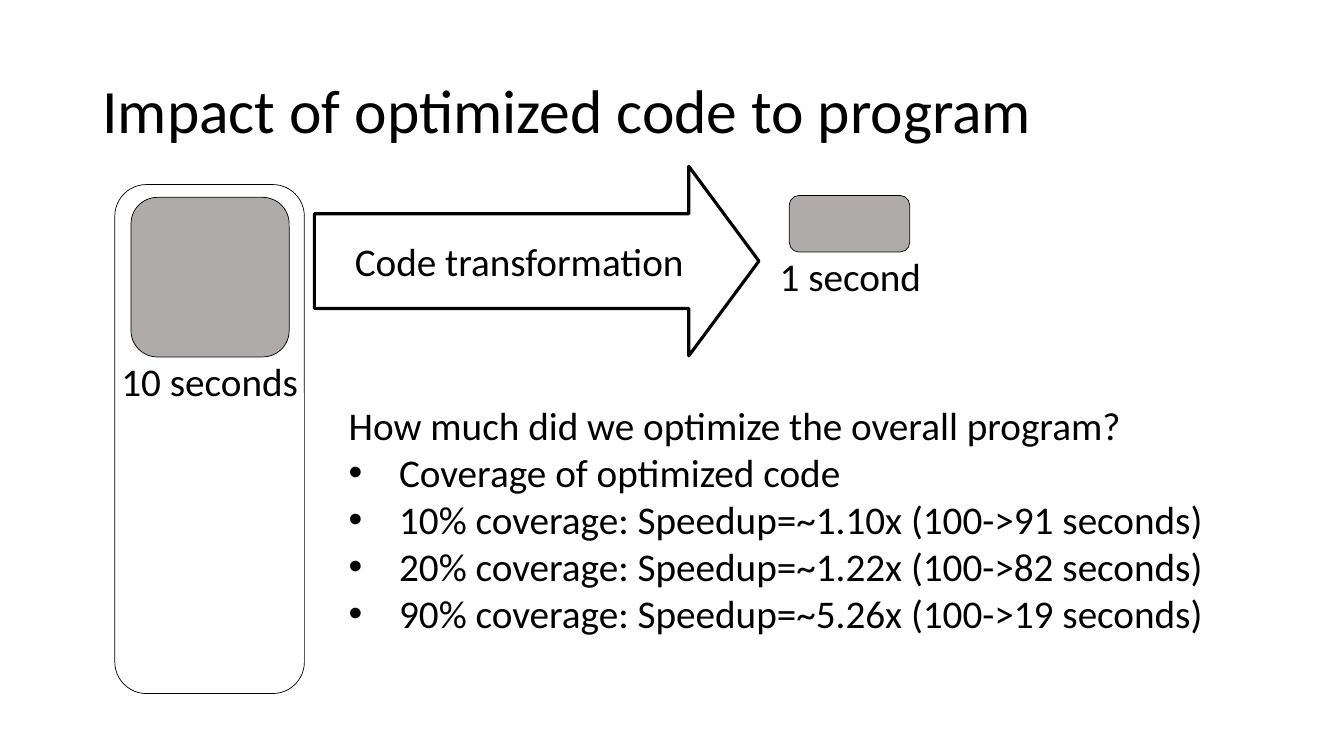
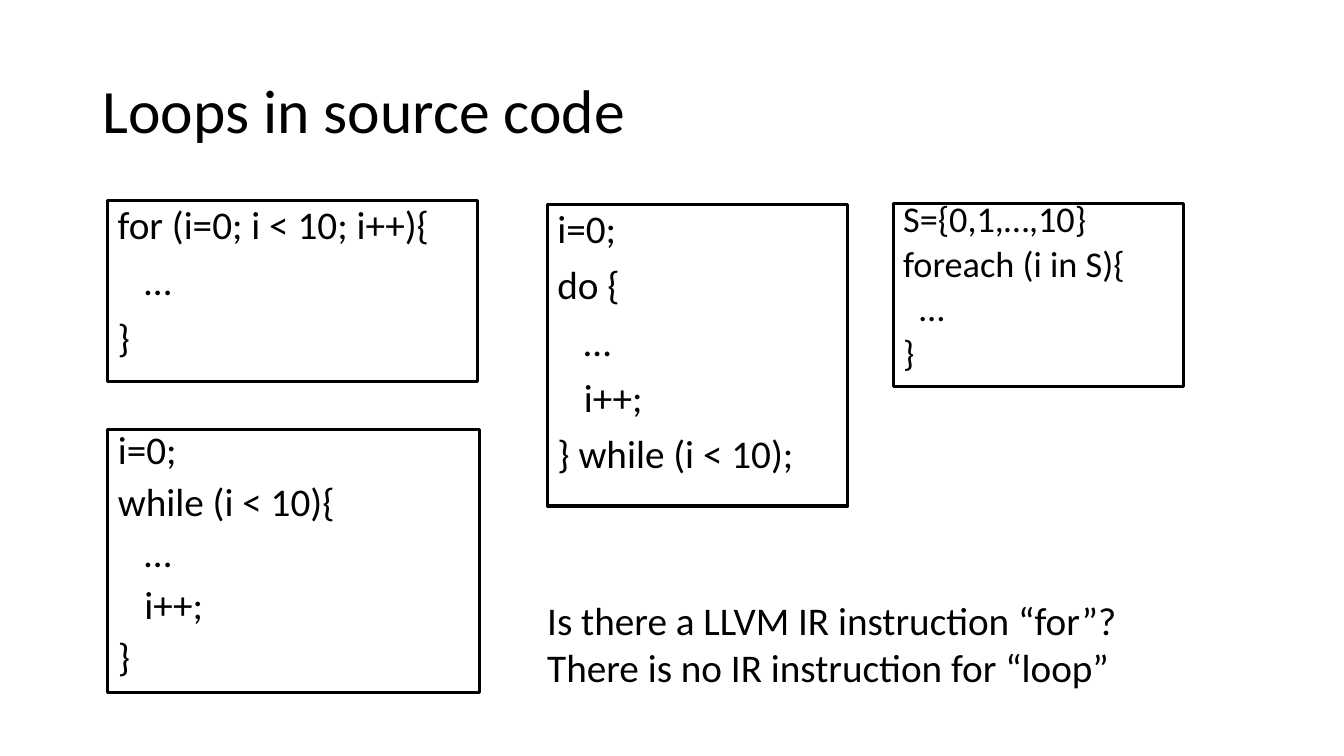
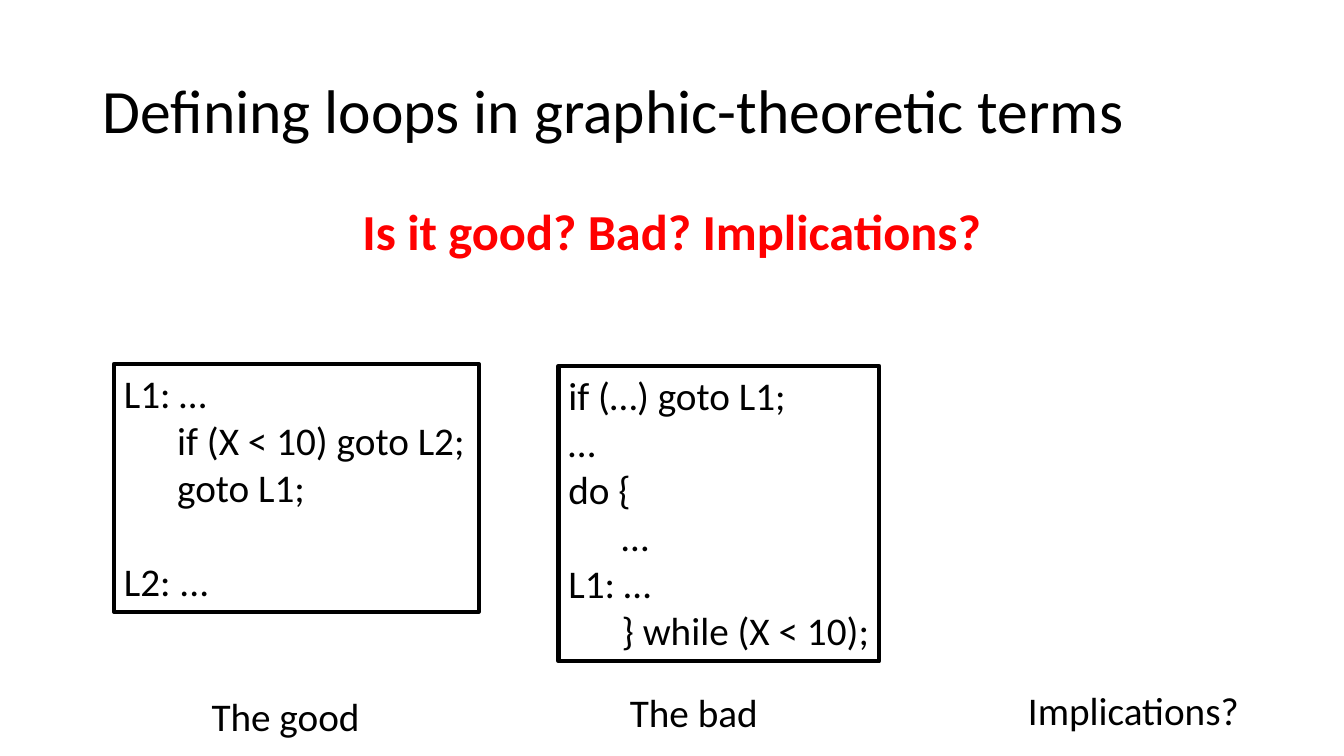
from lxml.etree import SubElement
from pptx import Presentation
from pptx.dml.color import RGBColor
from pptx.enum.shapes import MSO_SHAPE
from pptx.enum.text import MSO_ANCHOR, MSO_AUTO_SIZE, PP_ALIGN
from pptx.oxml.ns import qn
from pptx.util import Pt

COLORS = {"ink": "000000", "block": "AFABAB", "alert": "FF0000"}
FONT = "Calibri"
TITLE = (66, 28.8, 828, 104.4)


def color(name):
    return RGBColor.from_string(COLORS[name])


def place(shape, box):
    shape.left, shape.top, shape.width, shape.height = map(Pt, box)


def write(par, text, size=28, ink="ink", bold=False, align=PP_ALIGN.LEFT,
          space=1, before=0):
    par.alignment = align
    par.line_spacing = space
    par.space_before = Pt(before)
    run = par.add_run()
    run.text = text
    run.font.name = FONT
    run.font.size = Pt(size)
    run.font.bold = bold
    run.font.color.rgb = color(ink)


def indent(par, left=0, first=0, bullet=None):
    props = par._p.get_or_add_pPr()
    props.set("marL", str(Pt(left)))
    props.set("indent", str(Pt(first)))
    if bullet:
        SubElement(props, qn("a:buFont"), typeface="Arial")
        SubElement(props, qn("a:buChar"), char=bullet)
    else:
        SubElement(props, qn("a:buNone"))


def fill_lines(frame, lines, step=0, wrap=True, **style):
    frame.word_wrap = wrap
    frame.auto_size = MSO_AUTO_SIZE.NONE
    for i, line in enumerate(lines):
        par = frame.add_paragraph() if i else frame.paragraphs[0]
        text = line.lstrip("\t")
        write(par, text, **style)
        indent(par, step * (len(line) - len(text)))
    return frame.paragraphs


def start(deck, title):
    slide = deck.slides.add_slide(deck.slide_layouts[1])
    head, body = slide.placeholders
    place(head, TITLE)
    head.text_frame.vertical_anchor = MSO_ANCHOR.MIDDLE
    fill_lines(head.text_frame, [title], size=44, space=0.9)
    return slide, body


def outline(shape, width):
    shape.line.color.rgb = color("ink")
    shape.line.width = Pt(width)


def draw(slide, kind, box, width, fill=None):
    shape = slide.shapes.add_shape(kind, *map(Pt, box))
    shape.shadow.inherit = False
    outline(shape, width)
    if fill:
        shape.fill.solid()
        shape.fill.fore_color.rgb = color(fill)
    else:
        shape.fill.background()
    return shape


def label(slide, box, *lines, wrap=False):
    text = slide.shapes.add_textbox(*map(Pt, box))
    fill_lines(text.text_frame, lines, wrap=wrap)


def timed(slide, box, text):
    x, y, w, h = box
    draw(slide, MSO_SHAPE.ROUNDED_RECTANGLE, box, 0.5, "block")
    label(slide, (x - 14, y + h - 3, w + 30, 41), text)


def arrow(slide, box, text):
    shape = draw(slide, MSO_SHAPE.RIGHT_ARROW, box, 2.25)
    shape.adjustments[0] = 0.5
    shape.adjustments[1] = 0.37
    shape.text_frame.vertical_anchor = MSO_ANCHOR.MIDDLE
    fill_lines(shape.text_frame, [text], align=PP_ALIGN.CENTER)


def listing(slide, box, lines, width=2.25, **style):
    shape = draw(slide, MSO_SHAPE.RECTANGLE, box, width)
    shape.text_frame.vertical_anchor = MSO_ANCHOR.TOP
    return fill_lines(shape.text_frame, lines, **style)


def impact(deck):
    slide, body = start(deck, "Impact of optimized code to program")
    timed(slide, (93.6, 141, 113, 114), "10 seconds")
    timed(slide, (563.8, 139.7, 86, 40.3), "1 second")
    arrow(slide, (224.6, 118.8, 317.5, 135.4), "Code transformation")
    draw(slide, MSO_SHAPE.ROUNDED_RECTANGLE, (82, 131.8, 135.4, 363.6), 0.5)
    place(body, (241.9, 283, 643.7, 177))
    rates = [("10%", "1.10", 91), ("20%", "1.22", 82), ("90%", "5.26", 19)]
    lines = ["How much did we optimize the overall program?",
             "Coverage of optimized code"]
    lines += [f"{part} coverage: Speedup=~{gain}x (100->{left} seconds)"
              for part, gain, left in rates]
    frame = body.text_frame
    frame.word_wrap = True
    frame.auto_size = MSO_AUTO_SIZE.NONE
    for i, line in enumerate(lines):
        par = frame.add_paragraph() if i else frame.paragraphs[0]
        write(par, line)
        if i:
            indent(par, 36, -36, "•")
        else:
            indent(par)


def loops(deck):
    slide, body = start(deck, "Loops in source code")
    place(body, (77, 306.7, 265.7, 188))
    outline(body, 2.25)
    fill_lines(body.text_frame,
               ["i=0;", "while (i < 10){", "\t…", "\ti++;", "}"],
               step=19, space=0.8, before=10)
    listing(slide, (77, 143.3, 264.2, 129),
            ["for (i=0; i < 10; i++){", "\t…", "}"],
            step=19, space=0.9, before=10)
    listing(slide, (391, 146.2, 214.6, 215.3),
            ["i=0;", "do {", "\t…", "\ti++;", "} while (i < 10);"],
            step=19, space=0.9, before=10)
    listing(slide, (638, 145.4, 207.4, 131),
            ["S={0,1,…,10}", "foreach (i in S){", "\t…", "}"],
            step=11.7, size=25.9, space=0.7, before=10)
    label(slide, (383.8, 422.6, 482.4, 75),
          "Is there a LLVM IR instruction “for”?",
          "There is no IR instruction for “loop”", wrap=True)


def terms(deck):
    slide, body = start(deck, "Defining loops in graphic-theoretic terms")
    place(body, (66, 144, 828, 53.3))
    fill_lines(body.text_frame, ["Is it good? Bad? Implications?"], size=36,
               ink="alert", bold=True, align=PP_ALIGN.CENTER, space=0.9,
               before=10)
    good = listing(slide, (81.4, 260, 260.6, 177),
                   ["L1: …", "\tif (X < 10) goto L2;", "\tgoto L1;",
                    "L2: ..."], width=3, step=38, wrap=False)
    good[-1].space_before = Pt(34)
    listing(slide, (398.9, 261.4, 229, 211),
            ["if (…) goto L1;", "…", "do {", "\t…", "L1: …",
             "\t} while (X < 10);"], width=3, step=38, wrap=False)
    label(slide, (144, 491, 121.7, 41), "The good")
    label(slide, (442.8, 488.2, 106.6, 41), "The bad")
    label(slide, (727.2, 486.7, 167, 41), "Implications?")


def main():
    deck = Presentation()
    deck.slide_width, deck.slide_height = Pt(960), Pt(540)
    for build in (impact, loops, terms):
        build(deck)
    deck.save("out.pptx")


if __name__ == "__main__":
    main()
